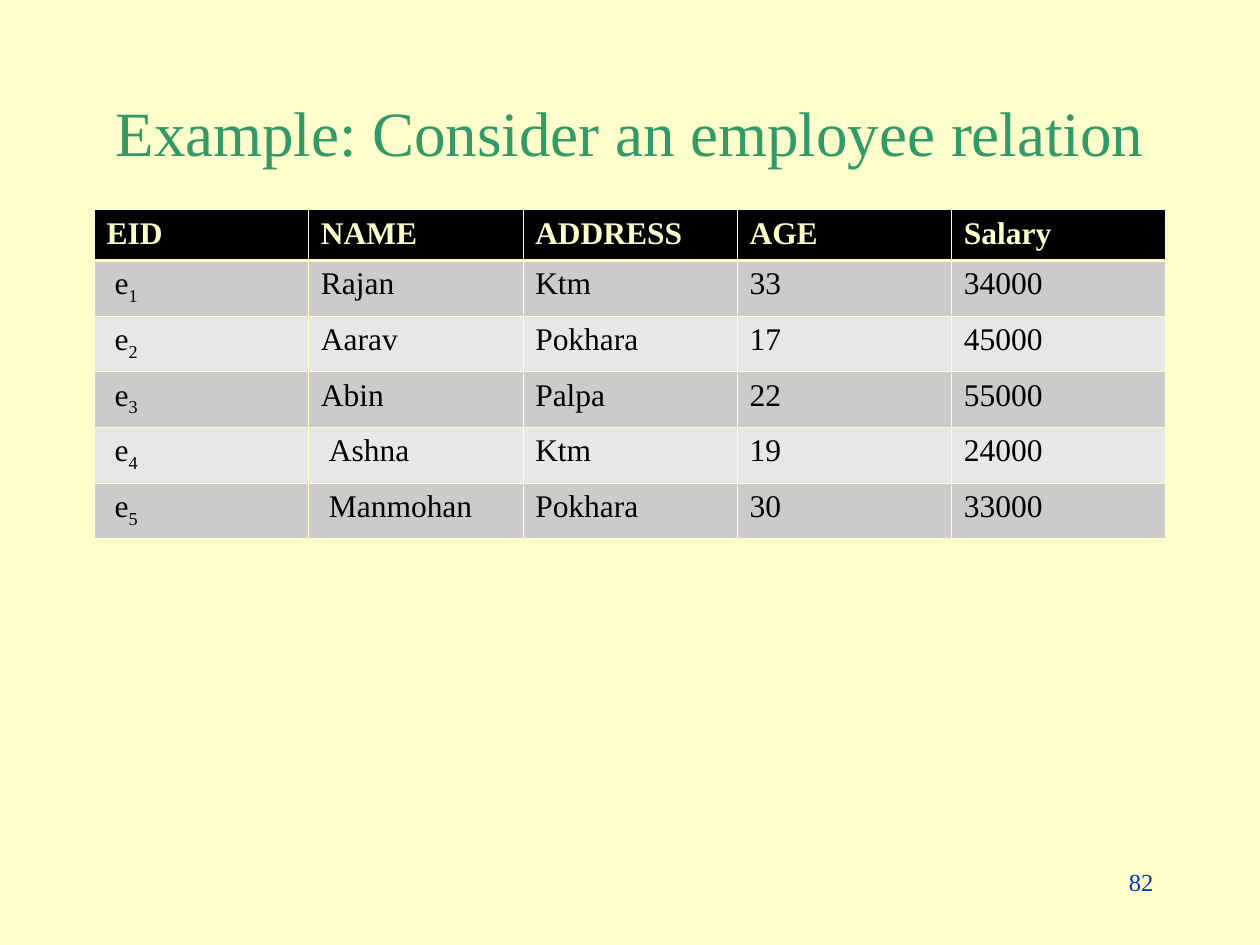
"""Build a slide showing an employee relation as a table."""
from lxml import etree
from pptx import Presentation
from pptx import util as u
from pptx.dml.color import RGBColor
from pptx.enum import text
from pptx.oxml import ns

CREAM = RGBColor(0xFF, 0xFF, 0xCC)
GREEN = RGBColor(0x33, 0x99, 0x66)
BLUE = RGBColor(0x00, 0x33, 0xCC)
BLACK = RGBColor(0x00, 0x00, 0x00)
BANDS = [RGBColor(0xCB, 0xCB, 0xCB), RGBColor(0xE7, 0xE7, 0xE7)]
FONT = "Times New Roman"

HEADING = "Example: Consider an employee relation"
PAGE = "82"
COLUMNS = ["EID", "NAME", "ADDRESS", "AGE", "Salary"]
EMPLOYEES = [
    ("e1", "Rajan", "Ktm", "33", "34000"),
    ("e2", "Aarav", "Pokhara", "17", "45000"),
    ("e3", "Abin", "Palpa", "22", "55000"),
    ("e4", "Ashna", "Ktm", "19", "24000"),
    ("e5", "Manmohan", "Pokhara", "30", "33000"),
]
INDENTED = {"Ashna", "Manmohan"}

LEFT, WIDTH = 1.9, 21.6
TABLE_TOP, HEADER_HEIGHT, ROW_HEIGHT = 4.23, 1.02, 1.12
MARGIN, INDENT = 0.25, 0.16
THIN, THICK = 0.45, 1.47


def write(frame, content, size=18, color=BLACK, bold=False, align=None, subscript=""):
    paragraph = frame.paragraphs[0]
    paragraph.alignment = align
    for part in filter(None, (content, subscript)):
        run = paragraph.add_run()
        run.text = part
        run.font.name, run.font.size = FONT, u.Pt(size)
        run.font.bold, run.font.color.rgb = bold, color
    if subscript:
        run.font._element.set("baseline", "-25000")


def add_label(slide, content, left, top, width, height,
              anchor=text.MSO_ANCHOR.TOP, **style):
    box = slide.shapes.add_textbox(*map(u.Cm, (left, top, width, height)))
    box.text_frame.word_wrap = True
    box.text_frame.vertical_anchor = anchor
    write(box.text_frame, content, **style)


def add_borders(cell, top=THIN, bottom=THIN):
    properties = cell._tc.get_or_add_tcPr()
    widths = {"lnL": THIN, "lnR": THIN, "lnT": top, "lnB": bottom}
    for position, (side, width) in enumerate(widths.items()):
        line = etree.Element(ns.qn(f"a:{side}"), w=str(u.Pt(width)))
        fill = etree.SubElement(line, ns.qn("a:solidFill"))
        etree.SubElement(fill, ns.qn("a:srgbClr"), val=str(CREAM))
        properties.insert(position, line)


def fill_cell(cell, content, fill, indented=False, top=THIN, bottom=THIN, **style):
    cell.margin_left = u.Cm(MARGIN + INDENT * indented)
    cell.fill.solid()
    cell.fill.fore_color.rgb = fill
    add_borders(cell, top, bottom)
    write(cell.text_frame, content, **style)


def add_relation(slide):
    height = HEADER_HEIGHT + ROW_HEIGHT * len(EMPLOYEES)
    relation = slide.shapes.add_table(
        len(EMPLOYEES) + 1, len(COLUMNS),
        *map(u.Cm, (LEFT, TABLE_TOP, WIDTH, height))).table
    relation.horz_banding = False
    for column in relation.columns:
        column.width = u.Cm(WIDTH / len(COLUMNS))
    for index, row in enumerate(relation.rows):
        row.height = u.Cm(ROW_HEIGHT if index else HEADER_HEIGHT)
    for c, name in enumerate(COLUMNS):
        fill_cell(relation.cell(0, c), name, BLACK, bottom=THICK, color=CREAM, bold=True)
    for r, employee in enumerate(EMPLOYEES):
        for c, value in enumerate(employee):
            is_id = c == 0
            fill_cell(relation.cell(r + 1, c), value[:1] if is_id else value,
                      BANDS[r % 2], indented=is_id or value in INDENTED,
                      top=THIN if r else THICK,
                      subscript=value[1:] if is_id else "")


def main():
    deck = Presentation()
    deck.slide_width, deck.slide_height = u.Cm(25.4), u.Cm(19.05)
    slide = deck.slides.add_slide(deck.slide_layouts[6])
    slide.background.fill.solid()
    slide.background.fill.fore_color.rgb = CREAM
    add_label(slide, HEADING, LEFT, 1.7, WIDTH, 1.9, anchor=text.MSO_ANCHOR.MIDDLE,
              size=36, color=GREEN, align=text.PP_ALIGN.CENTER)
    add_relation(slide)
    add_label(slide, PAGE, 18.2, 17.35, 5.3, 1.27,
              size=14, color=BLUE, align=text.PP_ALIGN.RIGHT)
    deck.save("out.pptx")


if __name__ == "__main__":
    main()
